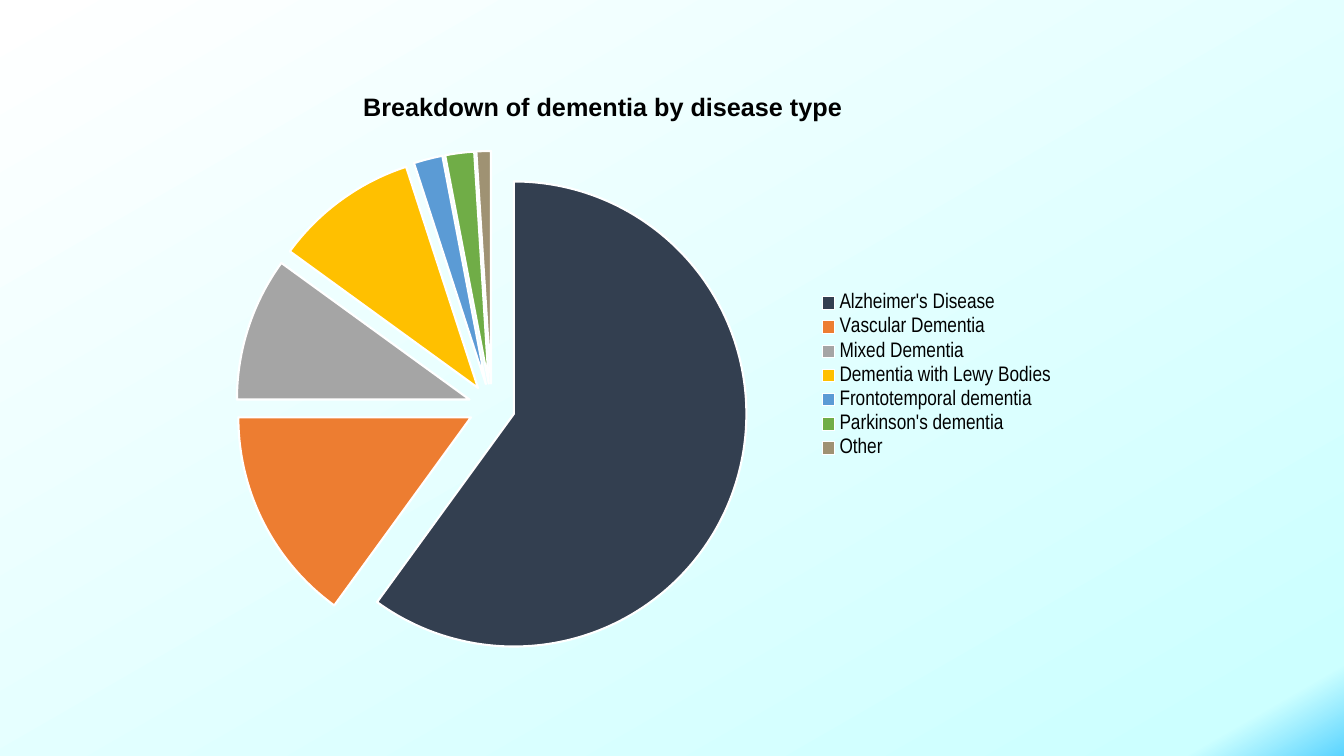
import lxml.etree
import pptx
import pptx.chart.data
import pptx.dml.color
import pptx.enum.chart
import pptx.oxml
import pptx.oxml.ns
import pptx.util
from pptx.util import Inches

TITLE = "Breakdown of dementia by disease type"
DISEASES = [
    ("Alzheimer's Disease", 60, "333F50"),
    ("Vascular Dementia", 15, "ED7D31"),
    ("Mixed Dementia", 10, "A5A5A5"),
    ("Dementia with Lewy Bodies", 10, "FFC000"),
    ("Frontotemporal dementia", 2, "5B9BD5"),
    ("Parkinson's dementia", 2, "70AD47"),
    ("Other", 1, "9F9273"),
]
BACKGROUND_STOPS = [(0, "5BD4FF"), (6, "CCFFFF"), (100, "FFFFFF")]


def rgb(value):
    return pptx.dml.color.RGBColor.from_string(value)


def qualified(tag):
    return pptx.oxml.ns.qn(tag)


def set_font(font, name, size, bold=False):
    font.name = name
    font.size = pptx.util.Pt(size)
    font.bold = bold
    font.color.rgb = rgb("000000")


def set_background(slide, stops, angle):
    """Fill the background with stops in percent, at a clockwise angle."""
    fill = slide.background.fill
    fill.gradient()
    fill.gradient_angle = 360 - angle
    stop_list = next(slide.background._cSld.iter(qualified("a:gsLst")))
    for stop in list(stop_list):
        stop_list.remove(stop)
    for percent, color in stops:
        stop = lxml.etree.SubElement(stop_list, qualified("a:gs"), pos=str(percent * 1000))
        lxml.etree.SubElement(stop, qualified("a:srgbClr"), val=color)


def place(element, **fractions):
    """Place a chart part by fractions of the chart's width and height."""
    for layout in element.findall(qualified("c:layout")):
        element.remove(layout)
    layout = pptx.oxml.parse_xml(f"<c:layout {pptx.oxml.ns.nsdecls('c')}/>")
    manual = lxml.etree.SubElement(layout, qualified("c:manualLayout"))
    if element.tag == qualified("c:plotArea"):
        lxml.etree.SubElement(manual, qualified("c:layoutTarget"), val="inner")
    for axis in "xy":
        lxml.etree.SubElement(manual, qualified(f"c:{axis}Mode"), val="edge")
    for name, fraction in fractions.items():
        lxml.etree.SubElement(manual, qualified(f"c:{name}"), val=str(fraction))
    leading = [qualified("c:tx"), qualified("c:legendPos"), qualified("c:legendEntry")]
    element.insert(sum(child.tag in leading for child in element), layout)


def explode(series, percent):
    explosion = lxml.etree.Element(qualified("c:explosion"), val=str(percent))
    series.format.line.color.rgb = rgb("FFFFFF")
    series._element.find(qualified("c:spPr")).addnext(explosion)


def color_slices(series, colors):
    for index, color in enumerate(colors):
        slice_format = series.points[index].format
        slice_format.fill.solid()
        slice_format.fill.fore_color.rgb = rgb(color)
        slice_format.line.color.rgb = rgb("FFFFFF")
        slice_format.line.width = pptx.util.Pt(1.5)


def add_title(chart, text):
    chart.has_title = True
    paragraph = chart.chart_title.text_frame.paragraphs[0]
    paragraph.text = text
    set_font(paragraph.runs[0].font, "Arial", 18, bold=True)
    chart.chart_title.include_in_layout = False
    place(chart.chart_title._element, x=0.21, y=0.01)


def add_legend(chart):
    chart.has_legend = True
    legend = chart.legend
    legend.position = pptx.enum.chart.XL_LEGEND_POSITION.RIGHT
    legend.include_in_layout = False
    set_font(legend.font, "Arial Narrow", 15)
    place(legend._element, x=0.72, y=0.35, w=0.27, h=0.29)


def add_pie(slide, left, top, width, height):
    names, shares, colors = zip(*DISEASES)
    chart_data = pptx.chart.data.CategoryChartData()
    chart_data.categories = names
    chart_data.add_series("Series 1", shares)
    chart = slide.shapes.add_chart(
        pptx.enum.chart.XL_CHART_TYPE.PIE,
        Inches(left), Inches(top), Inches(width), Inches(height), chart_data,
    ).chart
    set_font(chart.font, "Arial", 10)
    chart.plots[0].vary_by_categories = True
    series = chart.plots[0].series[0]
    explode(series, 10)
    color_slices(series, colors)
    add_title(chart, TITLE)
    add_legend(chart)
    plot_area = next(chart._chartSpace.iter(qualified("c:plotArea")))
    place(plot_area, x=0.073, y=0.119, w=0.571, h=0.857)


def main():
    presentation = pptx.Presentation()
    presentation.slide_width = Inches(13.33)
    presentation.slide_height = Inches(7.5)
    slide = presentation.slides.add_slide(presentation.slide_layouts[6])
    set_background(slide, BACKGROUND_STOPS, 240)
    add_pie(slide, 1.69, 0.79, 8.89, 5.93)
    presentation.save("out.pptx")


if __name__ == "__main__":
    main()
